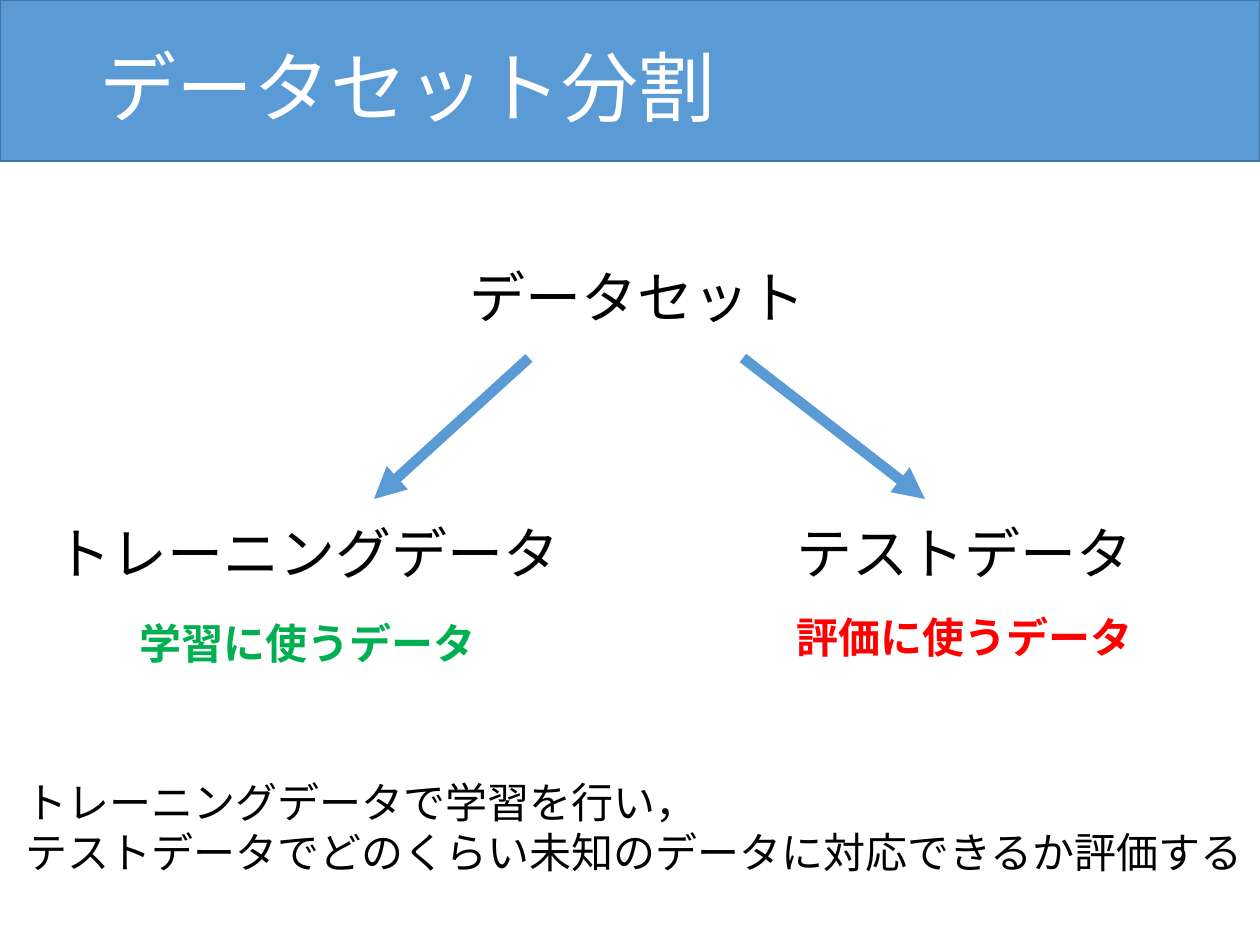
"""Build a slide on splitting a dataset into training and test data."""
from dataclasses import dataclass

from lxml import etree
from pptx import Presentation
from pptx.dml.color import RGBColor
from pptx.enum.shapes import MSO_CONNECTOR, MSO_SHAPE
from pptx.enum.text import MSO_ANCHOR, MSO_AUTO_SIZE
from pptx.oxml.ns import qn
from pptx.util import Pt

PX = 914400 / 126
RECTANGLE = MSO_SHAPE.RECTANGLE
STRAIGHT = MSO_CONNECTOR.STRAIGHT
TOP, MIDDLE = MSO_ANCHOR.TOP, MSO_ANCHOR.MIDDLE
FIT_SHAPE, NO_FIT = MSO_AUTO_SIZE.SHAPE_TO_FIT_TEXT, MSO_AUTO_SIZE.NONE
COLORS = {
    "blue": "5B9BD5",
    "banner_edge": "43739E",
    "white": "FFFFFF",
    "black": "000000",
    "green": "00B050",
    "red": "FF0000",
}
LABEL_FRAME = {"word_wrap": False, "auto_size": FIT_SHAPE, "vertical_anchor": TOP}
TITLE_FRAME = {"word_wrap": True, "auto_size": NO_FIT, "vertical_anchor": MIDDLE}


@dataclass(frozen=True)
class Label:
    lines: tuple[str, ...]
    left: int
    top: int
    width: int
    height: int
    size: int = 32
    color: str = "black"
    bold: bool = False
    font: str = "Calibri"
    spacing: float = 1.0


@dataclass(frozen=True)
class Arrow:
    start: tuple[int, int]
    end: tuple[int, int]


TITLE = Label(("データセット分割",), 87, 0, 1086, 183, 44, "white",
              font="Noto Sans CJK JP", spacing=0.9)
LABELS = (
    Label(("データセット",), 457, 256, 364, 81),
    Label(("トレーニングデータ",), 43, 512, 534, 81),
    Label(("テストデータ",), 784, 512, 364, 81),
    Label(("学習に使うデータ",), 127, 611, 364, 63, 24, "green", True),
    Label(("評価に使うデータ",), 784, 605, 364, 63, 24, "red", True),
    Label(("トレーニングデータで学習を行い，",
           "テストデータでどのくらい未知のデータに対応できるか評価する"),
          13, 770, 1255, 115, 24),
)
ARROWS = (Arrow((529, 358), (374, 499)), Arrow((743, 358), (925, 499)))


def emu(*lengths: int) -> list[int]:
    return [round(length * PX) for length in lengths]


def rgb(name: str) -> RGBColor:
    return RGBColor.from_string(COLORS[name])


def apply(target, values: dict) -> None:
    for attribute, value in values.items():
        setattr(target, attribute, value)


def add_banner(slide, width: int, height: int) -> None:
    banner = slide.shapes.add_shape(RECTANGLE, *emu(0, 0, width, height))
    banner.shadow.inherit = False
    banner.fill.solid()
    banner.fill.fore_color.rgb = rgb("blue")
    banner.line.color.rgb = rgb("banner_edge")
    banner.line.width = Pt(1)


def add_label(slide, label: Label, frame_format: dict) -> None:
    place = emu(label.left, label.top, label.width, label.height)
    frame = slide.shapes.add_textbox(*place).text_frame
    apply(frame, frame_format)
    frame.text = "\n".join(label.lines)
    for paragraph in frame.paragraphs:
        paragraph.line_spacing = label.spacing
        for run in paragraph.runs:
            apply(run.font, {"name": label.font, "size": Pt(label.size), "bold": label.bold})
            run.font.color.rgb = rgb(label.color)
            properties = run.font._element
            properties.set("lang", "ja-JP")
            etree.SubElement(properties, qn("a:ea"), typeface=label.font)


def add_arrow(slide, arrow: Arrow) -> None:
    connector = slide.shapes.add_connector(STRAIGHT, *emu(*arrow.start, *arrow.end))
    connector.line.color.rgb = rgb("blue")
    connector.line.width = Pt(6)
    etree.SubElement(connector.line._get_or_add_ln(), qn("a:tailEnd"), type="triangle")
    etree.SubElement(connector._element.spPr, qn("a:effectLst"))


def main() -> None:
    deck = Presentation()
    deck.slide_width, deck.slide_height = emu(1260, 945)
    slide = deck.slides.add_slide(deck.slide_layouts[6])
    add_banner(slide, 1260, 161)
    add_label(slide, TITLE, TITLE_FRAME)
    for label in LABELS:
        add_label(slide, label, LABEL_FRAME)
    for arrow in ARROWS:
        add_arrow(slide, arrow)
    deck.save("out.pptx")


if __name__ == "__main__":
    main()
